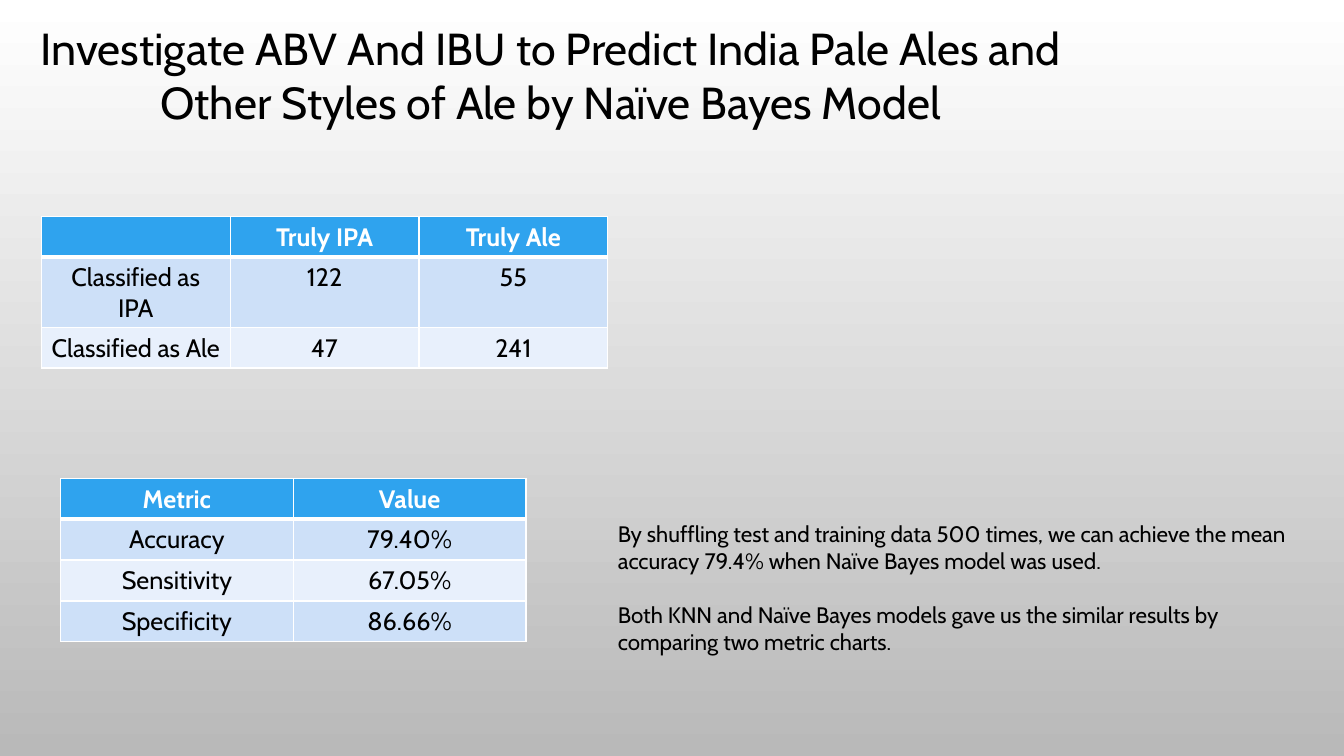
from pptx import Presentation
from pptx.dml.color import RGBColor
from pptx.enum.text import MSO_ANCHOR, MSO_AUTO_SIZE, PP_ALIGN
from pptx.oxml.ns import qn
from pptx.util import Pt
from lxml import etree

CENTER, LEFT = PP_ALIGN.CENTER, PP_ALIGN.LEFT
TOP = MSO_ANCHOR.TOP
GROW = MSO_AUTO_SIZE.SHAPE_TO_FIT_TEXT

TITLE_ONLY = 5
FONT = "Cabin"
COLORS = {
    "black": "000000",
    "white": "FFFFFF",
    "grey": "B9B9B9",
    "header": "2FA3EE",
    "band_dark": "CDE0F8",
    "band_light": "E8F0FC",
}

CONFUSION = [
    ["", "Truly IPA", "Truly Ale"],
    ["Classified as IPA", "122", "55"],
    ["Classified as Ale", "47", "241"],
]
METRICS = [
    ["Metric", "Value"],
    ["Accuracy", "79.40%"],
    ["Sensitivity", "67.05%"],
    ["Specificity", "86.66%"],
]
FINDINGS = [
    "By shuffling test and training data 500 times, we can achieve the mean "
    "accuracy 79.4% when Naïve Bayes model was used.",
    "Both KNN and Naïve Bayes models gave us the similar results by "
    "comparing two metric charts.",
]


def rgb(name):
    return RGBColor.from_string(COLORS[name])


def write(p, text, size, color="black", bold=False, align=LEFT):
    p.alignment = align
    r = p.add_run()
    r.text = text
    for name, value in {"name": FONT, "size": Pt(size), "bold": bold}.items():
        setattr(r.font, name, value)
    r.font.color.rgb = rgb(color)


def set_frame(tf):
    for name, value in {"word_wrap": True, "auto_size": GROW,
                        "vertical_anchor": TOP}.items():
        setattr(tf, name, value)


def set_background(s):
    fill = s.background.fill
    fill.gradient()
    fill.gradient_angle = 270
    for stop, color in zip(fill.gradient_stops, ("white", "grey")):
        stop.color.rgb = rgb(color)


def set_title(s, text, left, top, width, height):
    sp = s.shapes.title
    sp.left, sp.top, sp.width, sp.height = map(Pt, (left, top, width, height))
    set_frame(sp.text_frame)
    p = sp.text_frame.paragraphs[0]
    write(p, text, 32, align=CENTER)
    p._p.get_or_add_pPr().set("marL", str(Pt(8.64)))


def add_text(s, paragraphs, left, top, width, height, gap):
    sp = s.shapes.add_textbox(*map(Pt, (left, top, width, height)))
    tf = sp.text_frame
    set_frame(tf)
    for i, text in enumerate(paragraphs):
        p = tf.add_paragraph() if i else tf.paragraphs[0]
        if i:
            p.space_before = Pt(gap)
        write(p, text, 16)


def add_borders(cell, row):
    """White grid with a heavier rule under the header row."""
    widths = {"a:lnL": 1, "a:lnR": 1,
              "a:lnT": 3 if row == 1 else 1,
              "a:lnB": 3 if row == 0 else 1}
    tcPr = cell._tc.get_or_add_tcPr()
    for tag, width in widths.items():
        ln = etree.SubElement(tcPr, qn(tag), w=str(Pt(width)))
        fill = etree.SubElement(ln, qn("a:solidFill"))
        etree.SubElement(fill, qn("a:srgbClr"), val=COLORS["white"])


def add_grid(s, data, left, top, col_width, row_heights):
    rows, cols = len(data), len(data[0])
    frame = s.shapes.add_table(rows, cols, Pt(left), Pt(top),
                               Pt(col_width * cols), Pt(sum(row_heights)))
    table = frame.table
    for column in table.columns:
        column.width = Pt(col_width)
    for i, (values, height) in enumerate(zip(data, row_heights)):
        table.rows[i].height = Pt(height)
        band = "header" if i == 0 else "band_dark" if i % 2 else "band_light"
        for j, value in enumerate(values):
            cell = table.cell(i, j)
            add_borders(cell, i)
            cell.fill.solid()
            cell.fill.fore_color.rgb = rgb(band)
            if value:
                write(cell.text_frame.paragraphs[0], value, 18,
                      "black" if i else "white", i == 0, CENTER)


def main():
    prs = Presentation()
    prs.slide_width, prs.slide_height = Pt(960), Pt(540)
    s = prs.slides.add_slide(prs.slide_layouts[TITLE_ONLY])
    set_background(s)

    # Title
    set_title(s, "Investigate ABV And IBU to Predict India Pale Ales and "
                 "Other Styles of Ale by Naïve Bayes Model",
              -11.5, 11.5, 801.4, 85)

    # Metrics and findings
    add_grid(s, METRICS, 43.2, 342, 166.3, [16] + [29.2] * 3)
    add_text(s, FINDINGS, 434.2, 368, 514, 124, gap=19.4)

    # Confusion matrix
    add_grid(s, CONFUSION, 29.5, 154.8, 134.9, [26] * 3)

    prs.save("out.pptx")


if __name__ == "__main__":
    main()
